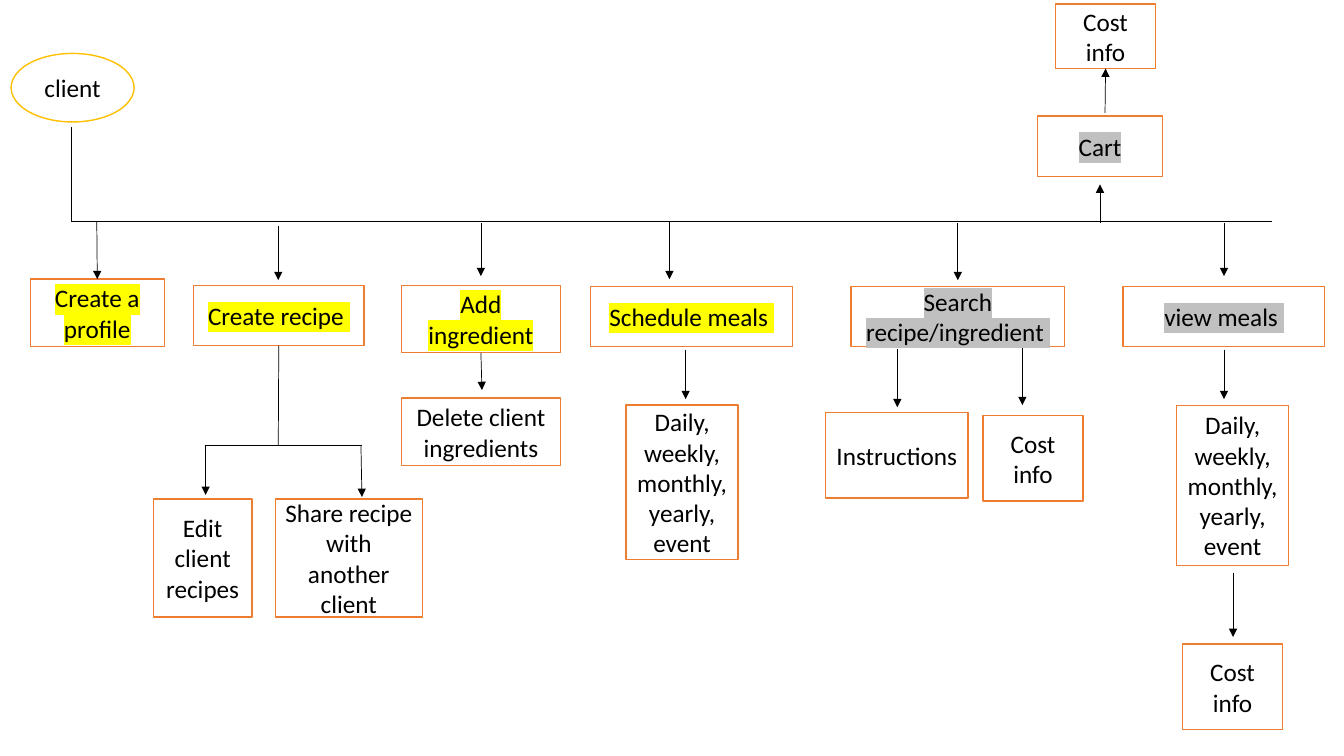
from lxml import etree
from pptx import Presentation
from pptx import util as u
from pptx.dml.color import RGBColor
from pptx.enum import shapes, text
from pptx.oxml import ns

BLACK = RGBColor(0x00, 0x00, 0x00)
WHITE = RGBColor(0xFF, 0xFF, 0xFF)
ORANGE = RGBColor(0xED, 0x7D, 0x31)
GOLD = RGBColor(0xFF, 0xC0, 0x00)
YELLOW = RGBColor(0xFF, 0xFF, 0x00)
GRAY = RGBColor(0xC0, 0xC0, 0xC0)

TOP, BOTTOM = 0, 2
BUS_Y = 2.2
FORK_Y = 4.42


class FlowChart:
    """Holds the slide and the shared style of its boxes and lines."""

    font_name = "Calibri"
    font_size = u.Pt(18)

    def __init__(self, slide):
        self.slide = slide

    def node(self, label, left, top, width, height, highlight=None,
             outline=ORANGE, kind=shapes.MSO_SHAPE.RECTANGLE):
        shape = self.slide.shapes.add_shape(
            kind, u.Inches(left), u.Inches(top), u.Inches(width), u.Inches(height))
        shape.shadow.inherit = False
        shape.fill.solid()
        shape.fill.fore_color.rgb = WHITE
        shape.line.color.rgb = outline
        shape.line.width = u.Pt(1)
        frame = shape.text_frame
        frame.word_wrap = True
        frame.vertical_anchor = text.MSO_ANCHOR.MIDDLE
        frame.text = label
        for paragraph in frame.paragraphs:
            paragraph.alignment = text.PP_ALIGN.CENTER
            for run in paragraph.runs:
                self.format_run(run, highlight)
        return shape

    def format_run(self, run, highlight):
        run.font.name = self.font_name
        run.font.size = self.font_size
        run.font.color.rgb = BLACK
        if highlight is not None:
            marker = etree.Element(ns.qn("a:highlight"))
            etree.SubElement(marker, ns.qn("a:srgbClr"), val=str(highlight))
            run.font._element.find(ns.qn("a:solidFill")).addnext(marker)

    def line(self, x1, y1, x2, y2, arrow=False, begin=None, end=None):
        connector = self.slide.shapes.add_connector(
            shapes.MSO_CONNECTOR.STRAIGHT,
            u.Inches(x1), u.Inches(y1), u.Inches(x2), u.Inches(y2))
        connector.line.color.rgb = BLACK
        connector.line.width = u.Pt(0.5)
        if arrow:
            etree.SubElement(connector.line._get_or_add_ln(),
                             ns.qn("a:tailEnd"), type="triangle")
        etree.SubElement(connector._element.spPr, ns.qn("a:effectLst"))
        if begin:
            connector.begin_connect(*begin)
        if end:
            connector.end_connect(*end)
        return connector

    def arrow(self, x, y1, y2, end_x=None, **joins):
        return self.line(x, y1, x if end_x is None else end_x, y2, arrow=True, **joins)


def main():
    presentation = Presentation()
    presentation.slide_width = u.Inches(13.33)
    presentation.slide_height = u.Inches(7.5)
    slide = presentation.slides.add_slide(presentation.slide_layouts[6])
    chart = FlowChart(slide)

    # Client and the line that all actions hang from
    chart.node("client", 0.11, 0.53, 1.22, 0.68, outline=GOLD,
               kind=shapes.MSO_SHAPE.OVAL)
    chart.line(0.71, BUS_Y, 0.71, 1.26)
    chart.line(0.71, BUS_Y, 12.62, BUS_Y)

    # Actions of the client
    profile = chart.node("Create a profile", 0.3, 2.77, 1.33, 0.67, YELLOW)
    recipe = chart.node("Create recipe ", 1.92, 2.83, 1.69, 0.6, YELLOW)
    ingredient = chart.node("Add ingredient", 3.98, 2.83, 1.58, 0.67, YELLOW)
    chart.node("Schedule meals ", 5.86, 2.84, 2, 0.6, YELLOW)
    chart.node("Search recipe/ingredient ", 8.44, 2.84, 2.12, 0.6, GRAY)
    chart.node("view meals ", 11.14, 2.84, 2, 0.6, GRAY)
    chart.arrow(0.96, BUS_Y, 2.77, end=(profile, TOP))
    for x, start, stop in ((2.76, 2.24, 2.78), (4.77, 2.21, 2.74), (6.64, 2.2, 2.77),
                           (9.5, 2.21, 2.78), (12.14, 2.21, 2.74)):
        chart.arrow(x, start, stop)

    # Cart branch, going up
    chart.node("Cart", 10.29, 1.15, 1.24, 0.6, GRAY)
    cart_cost = chart.node("Cost\ninfo", 10.47, 0.04, 0.99, 0.64)
    chart.arrow(10.91, 2.21, 1.83)
    chart.arrow(10.96, 1.12, 0.69, end=(cart_cost, BOTTOM))

    # Recipe fork
    chart.node("Edit client recipes", 1.52, 4.95, 0.98, 1.17)
    chart.node("Share recipe with another client", 2.73, 4.95, 1.46, 1.17)
    chart.line(2.76, 3.43, 2.76, FORK_Y, begin=(recipe, BOTTOM))
    chart.line(2.03, FORK_Y, 3.59, FORK_Y)
    chart.arrow(2.04, FORK_Y, 4.91)
    chart.arrow(3.58, FORK_Y, 4.93, end_x=3.59)

    # Ingredient branch
    chart.node("Delete client ingredients", 3.98, 3.95, 1.58, 0.67)
    chart.arrow(4.77, 3.5, 3.87, end_x=4.78, begin=(ingredient, BOTTOM))

    # Meal periods, under scheduling and viewing
    for left, height, arrow_x in ((6.21, 1.53, 6.8), (11.67, 1.59, 12.14)):
        chart.node("Daily, weekly, monthly, yearly,\nevent", left, 4.02, 1.11, height)
        chart.arrow(arrow_x, 3.47, 3.96)

    # Search results
    chart.node("Instructions", 8.19, 4.09, 1.41, 0.85)
    chart.arrow(8.9, 3.46, 4.04)
    chart.arrow(10.14, 3.45, 4.02)

    # Costs of found recipes and of viewed meals
    for left, top in ((9.75, 4.12), (11.73, 6.39)):
        chart.node("Cost\vinfo", left, top, 0.99, 0.85)
    chart.arrow(12.23, 5.68, 6.32)

    presentation.save("out.pptx")


if __name__ == "__main__":
    main()
